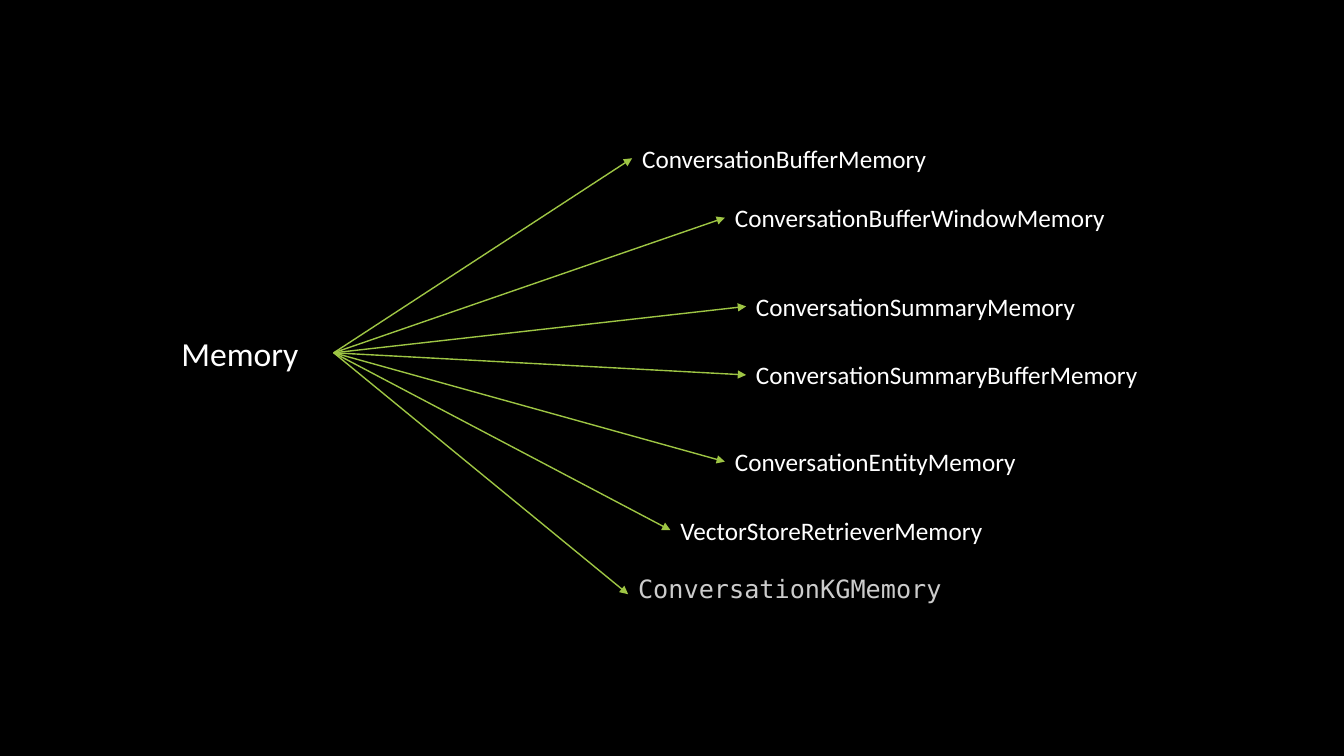
from dataclasses import dataclass

from lxml import etree
from pptx import Presentation
from pptx import util as u
from pptx.dml import color as c
from pptx.enum import shapes, text
from pptx.oxml import ns
from pptx.slide import Slide


@dataclass(frozen=True)
class Theme:
    back: str = "000000"
    ink: str = "FFFFFF"
    code: str = "CCCCCC"
    arrow: str = "9EC544"
    font: str = "Calibri"
    mono: str = "DejaVu Sans Mono"
    root: float = 24
    leaf: float = 18
    line: float = 1
    lead: float = 14.2


THEME = Theme()


@dataclass(frozen=True)
class Label:
    words: str
    left: float
    top: float
    width: float
    height: float = 0.4
    size: float = THEME.leaf
    font: str = THEME.font
    ink: str = THEME.ink
    lead: float | None = None

    @property
    def middle(self) -> float:
        return self.top + self.height / 2


ROOT = Label("Memory", 1.7, 3.25, 1.61, 0.5, THEME.root)
LEAVES = [
    Label("ConversationBufferMemory", 6.27, 1.37, 3.39),
    Label("ConversationBufferWindowMemory", 7.19, 1.96, 4.19),
    Label("ConversationSummaryMemory", 7.4, 2.84, 6.84),
    Label("ConversationSummaryBufferMemory", 7.4, 3.52, 7.03),
    Label("ConversationEntityMemory", 7.19, 4.38, 7.22),
    Label("VectorStoreRetrieverMemory", 6.65, 5.06, 7.22),
    Label("ConversationKGMemory", 6.23, 5.74, 7.22, 0.31,
          font=THEME.mono, ink=THEME.code, lead=THEME.lead),
]


def add_label(slide: Slide, label: Label) -> None:
    box = slide.shapes.add_textbox(
        u.Inches(label.left), u.Inches(label.top),
        u.Inches(label.width), u.Inches(label.height))
    frame = box.text_frame
    frame.word_wrap = True
    frame.auto_size = text.MSO_AUTO_SIZE.SHAPE_TO_FIT_TEXT
    para = frame.paragraphs[0]
    if label.lead is not None:
        para.line_spacing = u.Pt(label.lead)
    run = para.add_run()
    run.text = label.words
    run.font.name = label.font
    run.font.size = u.Pt(label.size)
    run.font.color.rgb = c.RGBColor.from_string(label.ink)


def add_arrow(slide: Slide, root: Label, leaf: Label) -> None:
    arrow = slide.shapes.add_connector(
        shapes.MSO_CONNECTOR.STRAIGHT,
        u.Inches(root.left + root.width), u.Inches(root.middle),
        u.Inches(leaf.left), u.Inches(leaf.middle))
    arrow.line.width = u.Pt(THEME.line)
    arrow.line.color.rgb = c.RGBColor.from_string(THEME.arrow)
    props = arrow.element.spPr
    stroke = props.find(ns.qn("a:ln"))
    etree.SubElement(stroke, ns.qn("a:tailEnd"), type="triangle")
    etree.SubElement(props, ns.qn("a:effectLst"))


def main() -> None:
    deck = Presentation()
    deck.slide_width = u.Inches(13.33)
    deck.slide_height = u.Inches(7.5)
    slide = deck.slides.add_slide(deck.slide_layouts.get_by_name("Blank"))
    fill = slide.background.fill
    fill.solid()
    fill.fore_color.rgb = c.RGBColor.from_string(THEME.back)
    add_label(slide, ROOT)
    for leaf in LEAVES:
        add_label(slide, leaf)
        add_arrow(slide, ROOT, leaf)
    deck.save("out.pptx")


if __name__ == "__main__":
    main()
